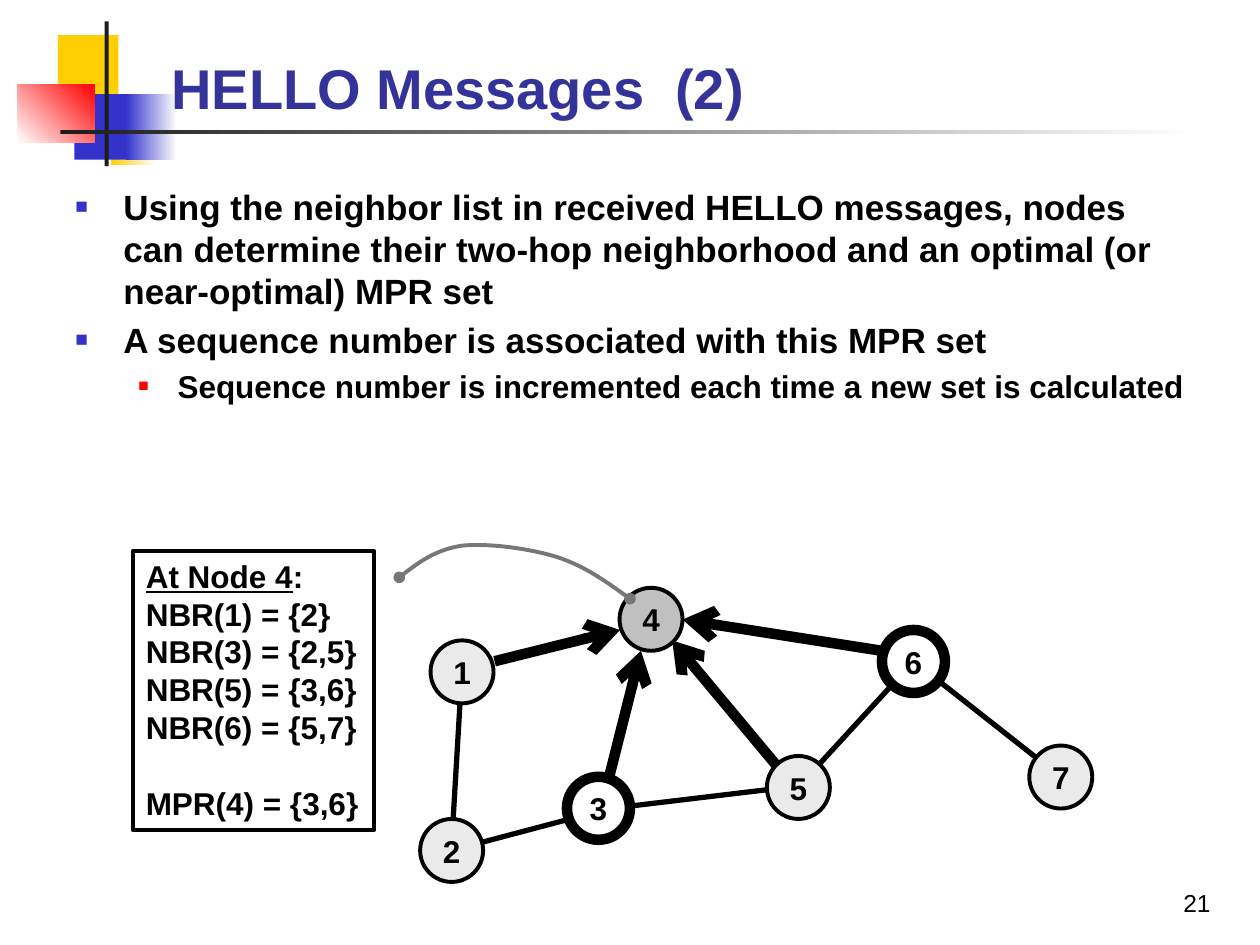
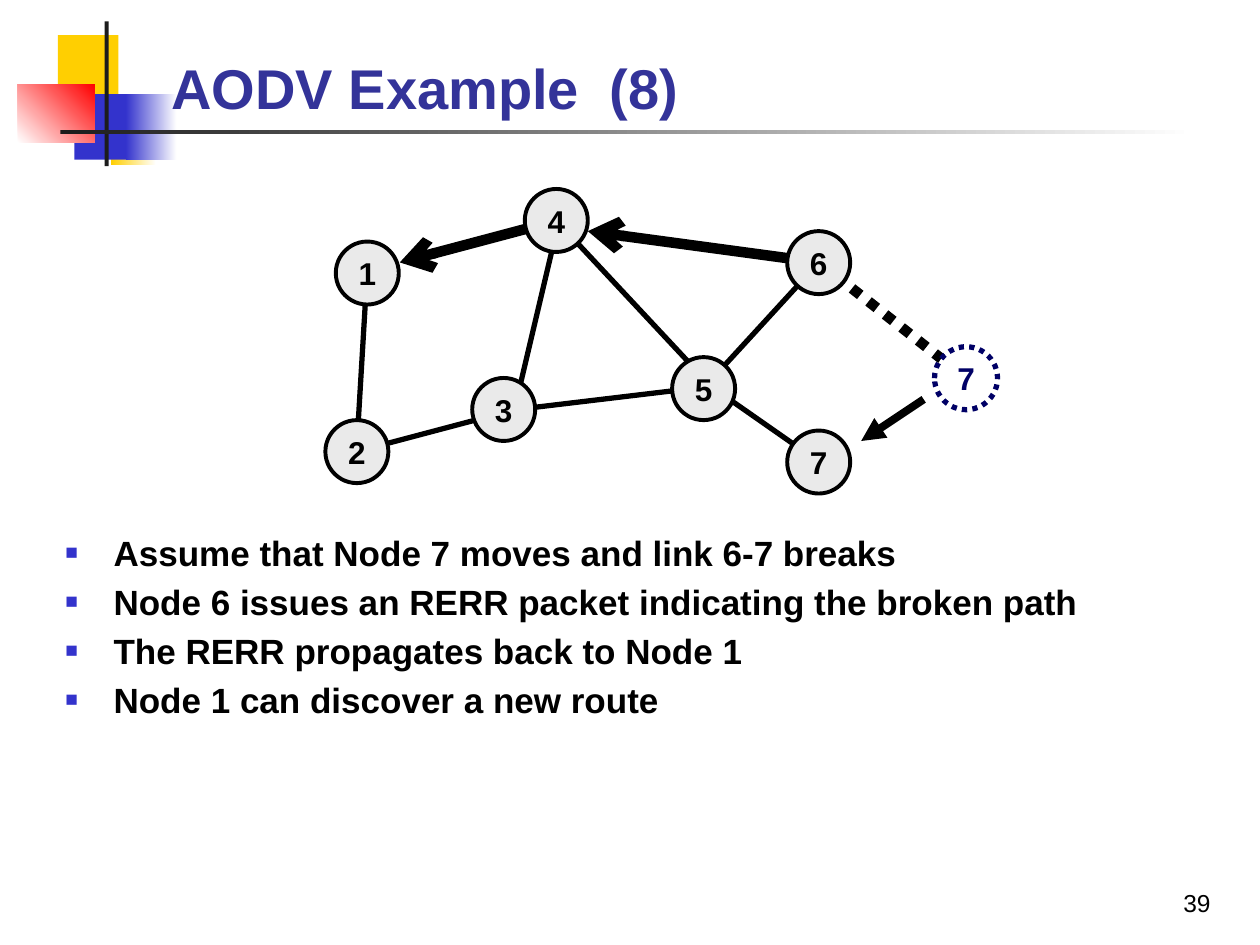
from lxml.etree import SubElement
from pptx import Presentation
from pptx.dml.color import RGBColor
from pptx.enum.dml import MSO_LINE
from pptx.enum.shapes import MSO_CONNECTOR, MSO_SHAPE
from pptx.enum.text import MSO_ANCHOR, MSO_AUTO_SIZE, PP_ALIGN
from pptx.oxml.ns import qn
from pptx.util import Cm, Pt

FONT = "Arial"
BLACK, WHITE, INK = "000000", "FFFFFF", "1C1C1C"
YELLOW, BLUE, RED = "FFCF01", "3333CC", "FF0000"
TITLE_BLUE, GHOST_BLUE = "333399", "000066"
LIGHT_GREY, MID_GREY, CURVE_GREY = "EAEAEA", "C0C0C0", "777777"

# Left, top, width, height, gradient or solid colours, gradient angle
ORNAMENTS = [
    (1.17, 0.71, 1.22, 1.32, [YELLOW], 0),
    (2.24, 2.01, 0.91, 1.32, [YELLOW, WHITE], 0),
    (1.5, 1.9, 1.17, 1.32, [BLUE], 0),
    (2.54, 1.9, 1.02, 1.32, [BLUE, WHITE], 0),
    (0.36, 1.7, 1.55, 1.17, [WHITE, RED], 45),
    (2.11, 0.43, 0.08, 2.92, [INK], 0),
    (1.22, 2.62, 22.86, 0.08, [INK, WHITE], 0),
]

# Size, bullet colour, bullet percentage, left margin, hanging indent per level
BULLET_LEVELS = [(20, BLUE, 60, 0.97, 0.97), (18, RED, 55, 2.06, 0.79)]

# Network geometry in centimetres from the corner of its box
NODE_SIZE = 1.27
NODES = {"1": (0.21, 1.06), "2": (0, 4.66), "3": (2.96, 3.81), "4": (4.02, 0),
         "5": (6.99, 3.39), "6": (9.31, 0.85), "7": (12.28, 3.18)}
MOVED_NODE = (9.31, 4.87)
SHARED_LINKS = [
    ((0.84, 1.7), (0.64, 5.08)),
    ((0.64, 5.29), (3.81, 4.45)),
    ((3.81, 4.45), (7.41, 4.02)),
    ((9.95, 1.48), (7.62, 4.02)),
]
LINK_6_7 = ((9.95, 1.48), (12.91, 3.81))
PLAIN_NODE = {"fill": LIGHT_GREY, "color": BLACK, "width": 2.25}
RELAY_NODE = {"fill": WHITE, "color": BLACK, "width": 6}
CENTRE_NODE = {"fill": MID_GREY, "color": BLACK, "width": 2.25}
GHOST_NODE = {"fill": WHITE, "color": GHOST_BLUE, "width": 3,
              "dash": MSO_LINE.ROUND_DOT}
THICK_ARROW = {"width": 6, "arrow": "arrow"}


def rgb(hex_color):
    return RGBColor.from_string(hex_color)


def set_all(target, **values):
    for name, value in values.items():
        setattr(target, name, value)


def add_run(paragraph, text, size, color=BLACK, bold=True, underline=None):
    run = paragraph.add_run()
    run.text = text
    set_all(run.font, name=FONT, size=Pt(size), bold=bold, underline=underline)
    run.font.color.rgb = rgb(color)


def set_line(line, color, width, dash=None):
    line.color.rgb = rgb(color)
    line.width = Pt(width)
    if dash:
        line.dash_style = dash


def add_line_end(shape, end, kind):
    line = shape.element.spPr.find(qn("a:ln"))
    SubElement(line, qn(f"a:{end}"), type=kind)


def add_box(slide, kind, left, top, width, height):
    shape = slide.shapes.add_shape(kind, Cm(left), Cm(top), Cm(width), Cm(height))
    shape.shadow.inherit = False
    return shape


def add_ornament(slide, left, top, width, height, colors, angle):
    shape = add_box(slide, MSO_SHAPE.RECTANGLE, left, top, width, height)
    shape.line.fill.background()
    if len(colors) == 1:
        shape.fill.solid()
        shape.fill.fore_color.rgb = rgb(colors[0])
        return
    shape.fill.gradient()
    shape.fill.gradient_angle = angle
    for stop, color in zip(shape.fill.gradient_stops, colors):
        stop.color.rgb = rgb(color)


def add_frame(presentation, title_text, number):
    """Add a slide with its ornaments, title and page number."""
    slide = presentation.slides.add_slide(presentation.slide_layouts[5])
    for ornament in ORNAMENTS:
        add_ornament(slide, *ornament)

    # Title, brought in front of the ornaments
    title = slide.shapes.title
    set_all(title, left=Cm(3.2), top=Cm(0.46), width=Cm(21.64), height=Cm(2.11))
    set_all(title.text_frame, vertical_anchor=MSO_ANCHOR.BOTTOM,
            auto_size=MSO_AUTO_SIZE.NONE, word_wrap=True)
    paragraph = title.text_frame.paragraphs[0]
    paragraph.alignment = PP_ALIGN.LEFT
    add_run(paragraph, title_text, 32, TITLE_BLUE)
    slide.shapes.element.append(title.element)

    # Page number
    box = slide.shapes.add_textbox(Cm(22.86), Cm(17.78), Cm(2.54), Cm(1.27))
    box.text_frame.word_wrap = True
    paragraph = box.text_frame.paragraphs[0]
    paragraph.alignment = PP_ALIGN.CENTER
    add_run(paragraph, str(number), 14, bold=False)
    return slide


def add_paragraph(text_frame, index):
    return text_frame.add_paragraph() if index else text_frame.paragraphs[0]


def add_bullets(slide, left, top, width, height, items):
    box = slide.shapes.add_textbox(Cm(left), Cm(top), Cm(width), Cm(height))
    box.text_frame.word_wrap = True
    for index, (level, text) in enumerate(items):
        size, color, percent, margin, hanging = BULLET_LEVELS[level]
        paragraph = add_paragraph(box.text_frame, index)
        paragraph.level = level
        properties = paragraph._p.get_or_add_pPr()
        properties.set("marL", str(Cm(margin)))
        properties.set("indent", str(-Cm(hanging)))
        bullet_color = SubElement(properties, qn("a:buClr"))
        SubElement(bullet_color, qn("a:srgbClr"), val=color)
        SubElement(properties, qn("a:buSzPct"), val=str(percent * 1000))
        SubElement(properties, qn("a:buFont"), typeface=FONT)
        SubElement(properties, qn("a:buChar"), char="■")
        paragraph.space_before = Pt(0.2 * size if index else 0)
        add_run(paragraph, text, size)


def add_link(slide, left, top, start, end, width=3, dash=None, arrow=None):
    (start_x, start_y), (end_x, end_y) = start, end
    link = slide.shapes.add_connector(
        MSO_CONNECTOR.STRAIGHT, Cm(left + start_x), Cm(top + start_y),
        Cm(left + end_x), Cm(top + end_y))
    set_line(link.line, BLACK, width, dash)
    if arrow:
        add_line_end(link, "tailEnd", arrow)
    SubElement(link.element.spPr, qn("a:effectLst"))


def add_node(slide, left, top, label, fill, color, width, dash=None):
    node = add_box(slide, MSO_SHAPE.OVAL, left, top, NODE_SIZE, NODE_SIZE)
    node.fill.solid()
    node.fill.fore_color.rgb = rgb(fill)
    set_line(node.line, color, width, dash)
    set_all(node.text_frame, word_wrap=False, vertical_anchor=MSO_ANCHOR.MIDDLE)
    paragraph = node.text_frame.paragraphs[0]
    paragraph.alignment = PP_ALIGN.CENTER
    add_run(paragraph, label, 18, color)


def add_network(slide, left, top, links, special_nodes):
    """Draw the seven nodes over the shared links and the slide's own links."""
    for start, end in SHARED_LINKS:
        add_link(slide, left, top, start, end)
    for (start, end), style in links:
        add_link(slide, left, top, start, end, **style)
    for label, (x, y) in NODES.items():
        style = special_nodes.get(label, PLAIN_NODE)
        add_node(slide, left + x, top + y, label, **style)


def add_neighbor_table_box(slide, left, top, width, height):
    box = add_box(slide, MSO_SHAPE.RECTANGLE, left, top, width, height)
    box.fill.solid()
    box.fill.fore_color.rgb = rgb(WHITE)
    set_line(box.line, BLACK, 2.25)
    set_all(box.text_frame, word_wrap=False, vertical_anchor=MSO_ANCHOR.TOP)
    lines = ["At Node 4", "NBR(1) = {2}", "NBR(3) = {2,5}", "NBR(5) = {3,6}",
             "NBR(6) = {5,7}", "MPR(4) = {3,6}"]
    for index, text in enumerate(lines):
        paragraph = add_paragraph(box.text_frame, index)
        paragraph.alignment = PP_ALIGN.LEFT
        add_run(paragraph, text, 18, underline=index == 0)
        if index == 0:
            add_run(paragraph, ":", 18)
    paragraph.space_before = Pt(21.6)


def add_callout_curve(slide, left, top):
    """Draw three joined Bezier curves with a dot at each end."""
    points = [(0, 0.69), (0.36, 0.41), (0.74, 0.13), (1.27, 0.05), (1.8, 0),
              (2.59, 0.1), (3.18, 0.28), (3.73, 0.46), (4.19, 0.79), (4.65, 1.12)]
    start, *others = [(Cm(x), Cm(y)) for x, y in points]
    builder = slide.shapes.build_freeform(*start)
    builder.add_line_segments(others, close=False)
    curve = builder.convert_to_shape(Cm(left), Cm(top))
    curve.shadow.inherit = False
    curve.fill.background()
    set_line(curve.line, CURVE_GREY, 2.25)
    for end in ("headEnd", "tailEnd"):
        add_line_end(curve, end, "oval")

    # Turn each three segments into one cubic curve
    segments = list(curve.element.iter(qn("a:lnTo")))
    outline = segments[0].getparent()
    for first in range(0, len(segments), 3):
        cubic = SubElement(outline, qn("a:cubicBezTo"))
        for segment in segments[first:first + 3]:
            cubic.append(segment[0])
            outline.remove(segment)


def build_hello_slide(presentation):
    slide = add_frame(presentation, "HELLO Messages  (2)", 21)
    add_bullets(slide, 1.27, 3.61, 23.06, 14.4, [
        (0, "Using the neighbor list in received HELLO messages, nodes can "
            "determine their two-hop neighborhood and an optimal (or "
            "near-optimal) MPR set"),
        (0, "A sequence number is associated with this MPR set"),
        (1, "Sequence number is incremented each time a new set is calculated"),
    ])
    links = [
        (LINK_6_7, {}),
        (((7.2, 3.6), (5.08, 1.06)), THICK_ARROW),
        (((1.5, 1.48), (4.03, 0.85)), THICK_ARROW),
        (((3.81, 3.81), (4.45, 1.27)), THICK_ARROW),
        (((9.31, 1.27), (5.29, 0.64)), THICK_ARROW),
    ]
    add_network(slide, 8.47, 11.85, links,
                {"3": RELAY_NODE, "4": CENTRE_NODE, "6": RELAY_NODE})
    add_neighbor_table_box(slide, 2.69, 11.1, 4.85, 5.64)
    add_callout_curve(slide, 8.05, 10.95)


def build_aodv_slide(presentation):
    slide = add_frame(presentation, "AODV Example  (8)", 39)
    add_bullets(slide, 1.07, 10.59, 23.06, 6.55, [
        (0, "Assume that Node 7 moves and link 6-7 breaks"),
        (0, "Node 6 issues an RERR packet indicating the broken path"),
        (0, "The RERR propagates back to Node 1"),
        (0, "Node 1 can discover a new route"),
    ])
    left, top = 6.56, 3.81
    links = [
        (((7.83, 4.02), (9.95, 5.5)), {}),
        (((4.66, 0.64), (7.62, 3.81)), {}),
        (((4.66, 0.85), (3.81, 4.45)), {}),
        (((4.66, 0.64), (1.5, 1.48)), THICK_ARROW),
        (((9.95, 1.48), (5.29, 0.85)), THICK_ARROW),
        (LINK_6_7, {"width": 6, "dash": MSO_LINE.ROUND_DOT}),
        (((12.06, 4.24), (10.8, 5.08)), {"width": 4.5, "arrow": "triangle"}),
    ]
    add_network(slide, left, top, links, {"7": GHOST_NODE})
    # Node 7 at its new place
    add_node(slide, left + MOVED_NODE[0], top + MOVED_NODE[1], "7", **PLAIN_NODE)


def main():
    presentation = Presentation()
    set_all(presentation, slide_width=Cm(25.4), slide_height=Cm(19.05))
    build_hello_slide(presentation)
    build_aodv_slide(presentation)
    presentation.save("out.pptx")


if __name__ == "__main__":
    main()
